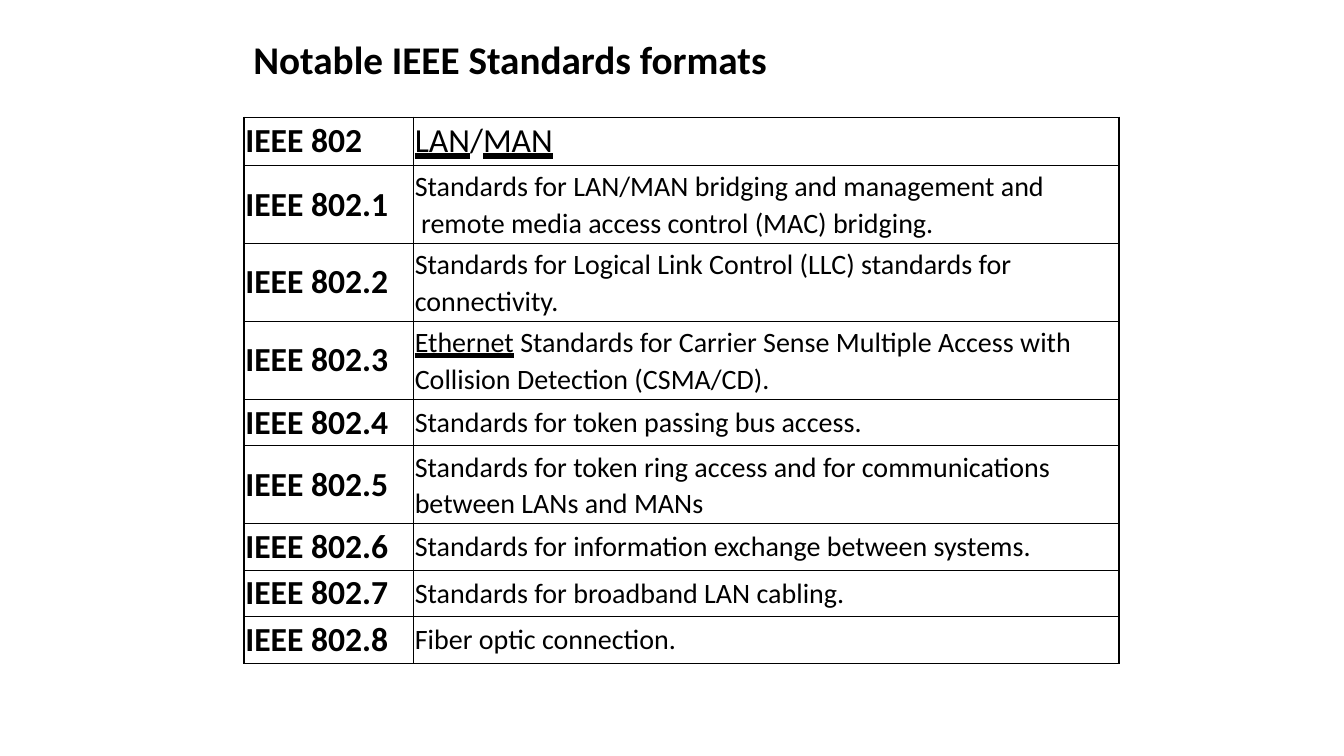
from dataclasses import dataclass

from lxml import etree
from pptx import Presentation
from pptx.dml.color import RGBColor
from pptx.enum.text import MSO_ANCHOR, MSO_AUTO_SIZE, MSO_UNDERLINE, PP_ALIGN
from pptx.oxml.ns import qn
from pptx.util import Pt

MIDDLE = MSO_ANCHOR.MIDDLE
LEFT = PP_ALIGN.LEFT
HEAVY = MSO_UNDERLINE.HEAVY_LINE
NO_AUTOFIT = MSO_AUTO_SIZE.NONE


@dataclass(frozen=True)
class Theme:
    font: str = "Calibri"
    ink: str = "000000"
    title: int = 28
    label: int = 24
    body: int = 20
    leading: float = 1.07
    border: int = 1


theme = Theme()


def add_run(p, text, size, bold=False, underline=False):
    r = p.add_run()
    r.text = text
    r.font.name = theme.font
    r.font.size = Pt(size)
    r.font.bold = bold
    r.font.color.rgb = RGBColor.from_string(theme.ink)
    if underline:
        r.font.underline = HEAVY


def add_borders(cell):
    tcPr = cell._tc.get_or_add_tcPr()
    for i, side in enumerate(("lnL", "lnR", "lnT", "lnB")):
        ln = etree.Element(qn(f"a:{side}"), w=str(Pt(theme.border)))
        fill = etree.SubElement(ln, qn("a:solidFill"))
        etree.SubElement(fill, qn("a:srgbClr"), val=theme.ink)
        tcPr.insert(i, ln)


ONE_LINE, TWO_LINES = 33.2, 55.7
LINKED = {"LAN", "MAN", "Ethernet"}
standards = [
    ("802", 34.5, [["LAN", "/", "MAN"]]),
    ("802.1", TWO_LINES, [["Standards for LAN/MAN bridging and management and", "\n",
                           " remote media access control (MAC) bridging."]]),
    ("802.2", TWO_LINES, [["Standards for Logical Link Control (LLC) standards for"],
                          ["connectivity."]]),
    ("802.3", TWO_LINES, [["Ethernet", " Standards for Carrier Sense Multiple Access with "
                           "Collision Detection (CSMA/CD)."]]),
    ("802.4", ONE_LINE, [["Standards for token passing bus access."]]),
    ("802.5", TWO_LINES, [["Standards for token ring access and for communications"],
                          ["between LANs and MANs"]]),
    ("802.6", ONE_LINE, [["Standards for information exchange between systems."]]),
    ("802.7", ONE_LINE, [["Standards for broadband LAN cabling."]]),
    ("802.8", ONE_LINE, [["Fiber optic connection."]]),
]

prs = Presentation()
prs.slide_width, prs.slide_height = Pt(960), Pt(540)
s = prs.slides.add_slide(prs.slide_layouts[5])

title = s.shapes.title
title.left, title.top, title.width, title.height = Pt(180), Pt(24.5), Pt(368), Pt(35.5)
tf = title.text_frame
tf.auto_size = NO_AUTOFIT
tf.word_wrap = True
tf.vertical_anchor = MIDDLE
tf.margin_left = Pt(1)
tf.margin_right = tf.margin_top = tf.margin_bottom = 0
p = tf.paragraphs[0]
p.alignment = LEFT
add_run(p, "Notable IEEE Standards formats", theme.title, bold=True)

col_widths = (121, 504)
table_height = sum(height for _, height, _ in standards)
table = s.shapes.add_table(len(standards), 2, Pt(174.3), Pt(83.8),
                           Pt(sum(col_widths)), Pt(table_height)).table
table.first_row = table.horz_banding = False
for col, width in zip(table.columns, col_widths):
    col.width = Pt(width)

for row, (number, height, paragraphs) in zip(table.rows, standards):
    row.height = Pt(height)
    for cell in row.cells:
        cell.fill.background()
        cell.vertical_anchor = MIDDLE
        cell.margin_left = Pt(1)
        cell.margin_right = cell.margin_top = cell.margin_bottom = 0
        add_borders(cell)
    label, description = row.cells
    add_run(label.text_frame.paragraphs[0], f"IEEE {number}", theme.label, bold=True)

    size = theme.label if number == "802" else theme.body
    tf = description.text_frame
    for i, parts in enumerate(paragraphs):
        p = tf.add_paragraph() if i else tf.paragraphs[0]
        if height == TWO_LINES:
            p.line_spacing = theme.leading
        for part in parts:
            if part == "\n":
                p.add_line_break()
            else:
                add_run(p, part, size, underline=part in LINKED)

prs.save("out.pptx")
